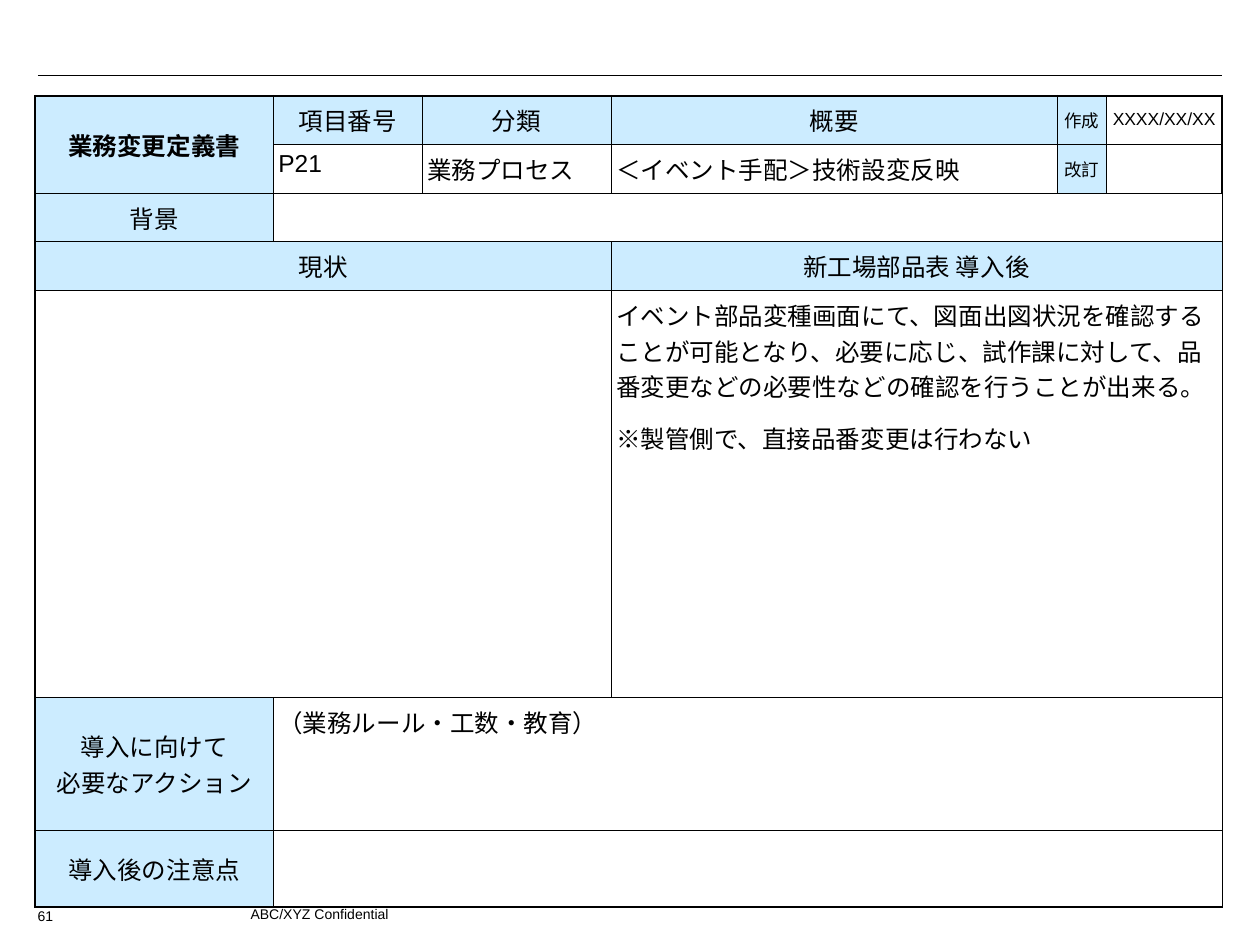
import pptx
import pptx.util
import pptx.dml.color
import pptx.enum.text
import pptx.enum.shapes
import pptx.oxml.ns
import lxml.etree

Inches, Pt = pptx.util.Inches, pptx.util.Pt
ALIGN = pptx.enum.text.PP_ALIGN
ANCHOR = pptx.enum.text.MSO_ANCHOR

HUES = {"ink": "000000", "label": "CCECFF"}
LATIN, ASIAN = "Arial", "Noto Sans CJK JP"
THIN, THICK = 0.45, 1.08

COLS = [1.89, 1.18, 1.5, 3.54, 0.39, 0.92]
ROWS = [0.38, 0.39, 0.38, 0.39, 3.23, 1.05, 0.61]

# Merged areas: top row, left column, bottom row, right column
SPANS = [(0, 0, 1, 0), (2, 1, 2, 5), (3, 0, 3, 2), (3, 3, 3, 5),
         (4, 0, 4, 2), (4, 3, 4, 5), (5, 1, 5, 5), (6, 1, 6, 5)]

# Label cells: shaded and centred
LABELS = {
    (0, 0): ["業務変更定義書"],
    (0, 1): ["項目番号"],
    (0, 2): ["分類"],
    (0, 3): ["概要"],
    (0, 4): ["作成"],
    (1, 4): ["改訂"],
    (2, 0): ["背景"],
    (3, 0): ["現状"],
    (3, 3): ["新工場部品表 導入後"],
    (5, 0): ["導入に向けて", "必要なアクション"],
    (6, 0): ["導入後の注意点"],
}

# Entry cells: plain
ENTRIES = {
    (0, 5): ["XXXX/XX/XX"],
    (1, 1): ["P21"],
    (1, 2): ["業務プロセス"],
    (1, 3): ["＜イベント手配＞技術設変反映"],
    (4, 3): ["イベント部品変種画面にて、図面出図状況を確認することが可能となり、"
             "必要に応じ、試作課に対して、品番変更などの必要性などの確認を行うことが出来る。",
             "※製管側で、直接品番変更は行わない"],
    (5, 1): ["（業務ルール・工数・教育）"],
}
CENTRED = {(0, 5)}
MIDDLE = {(0, 5), (1, 2), (1, 3)}

# Footer: text, left, top, width
FOOTERS = [("ABC/XYZ Confidential", 1.89, 7.14, 6.5), ("61", 0.2, 7.15, 0.4)]


def tint(hue):
    return pptx.dml.color.RGBColor.from_string(HUES[hue])


def add_sub(parent, tag, **attrs):
    return lxml.etree.SubElement(parent, pptx.oxml.ns.qn(tag), attrs)


def add_run(para, text, size, bold=False):
    run = para.add_run()
    run.text = text
    font = run.font
    font.size, font.bold, font.name = Pt(size), bold, LATIN
    font.color.rgb = tint("ink")
    add_sub(font._element, "a:ea", typeface=ASIAN)


def set_edges(cell, row, col):
    props = cell._tc.get_or_add_tcPr()
    outer = {"a:lnL": col == 0, "a:lnR": col == len(COLS) - 1,
             "a:lnT": row == 0, "a:lnB": row == len(ROWS) - 1}
    for tag, edge in outer.items():
        width = Pt(THICK if edge else THIN)
        line = add_sub(props, tag, w=str(int(width)))
        fill = add_sub(line, "a:solidFill")
        add_sub(fill, "a:srgbClr", val=HUES["ink"])


def fill_cell(cell, spot):
    label = spot in LABELS
    lines = LABELS.get(spot) or ENTRIES.get(spot, [])
    small = spot[1] >= 4
    side = 0.02 if spot[1] == 4 else 0.04
    cell.margin_left = cell.margin_right = Inches(side)
    cell.margin_top = cell.margin_bottom = Inches(0.05)
    middle = label or spot in MIDDLE
    cell.vertical_anchor = ANCHOR.MIDDLE if middle else ANCHOR.TOP
    set_edges(cell, *spot)
    if label:
        cell.fill.solid()
        cell.fill.fore_color.rgb = tint("label")
    else:
        cell.fill.background()

    frame = cell.text_frame
    if not lines:
        # Keep empty cells from stretching their row
        add_sub(frame.paragraphs[0]._p, "a:endParaRPr", sz="1000")
    for i, text in enumerate(lines):
        para = frame.add_paragraph() if i else frame.paragraphs[0]
        centred = label or spot in CENTRED
        para.alignment = ALIGN.CENTER if centred else ALIGN.LEFT
        if i and not label:
            para.space_before = Pt(8.8)
        add_run(para, text, 10 if small else 14, bold=spot == (0, 0))


def add_grid(slide):
    shape = slide.shapes.add_table(
        len(ROWS), len(COLS), Inches(0.28), Inches(0.76),
        Inches(sum(COLS)), Inches(sum(ROWS)))
    table = shape.table
    table.first_row = table.horz_banding = False
    for column, width in zip(table.columns, COLS):
        column.width = Inches(width)
    for row, height in zip(table.rows, ROWS):
        row.height = Inches(height)
    for top, left, bottom, right in SPANS:
        table.cell(top, left).merge(table.cell(bottom, right))
    for r in range(len(ROWS)):
        for c in range(len(COLS)):
            fill_cell(table.cell(r, c), (r, c))


def add_rule(slide):
    rule = slide.shapes.add_connector(
        pptx.enum.shapes.MSO_CONNECTOR.STRAIGHT,
        Inches(0.3), Inches(0.6), Inches(9.7), Inches(0.6))
    rule.line.color.rgb = tint("ink")
    rule.line.width = Pt(0.75)
    add_sub(rule._element.spPr, "a:effectLst")


def main():
    deck = pptx.Presentation()
    deck.slide_width, deck.slide_height = Inches(10), Inches(7.5)
    slide = deck.slides.add_slide(deck.slide_layouts[6])

    add_rule(slide)
    add_grid(slide)

    # Footer
    for text, left, top, width in FOOTERS:
        box = slide.shapes.add_textbox(
            Inches(left), Inches(top), Inches(width), Inches(0.2))
        box.text_frame.word_wrap = True
        add_run(box.text_frame.paragraphs[0], text, 8)

    deck.save("out.pptx")


if __name__ == "__main__":
    main()
